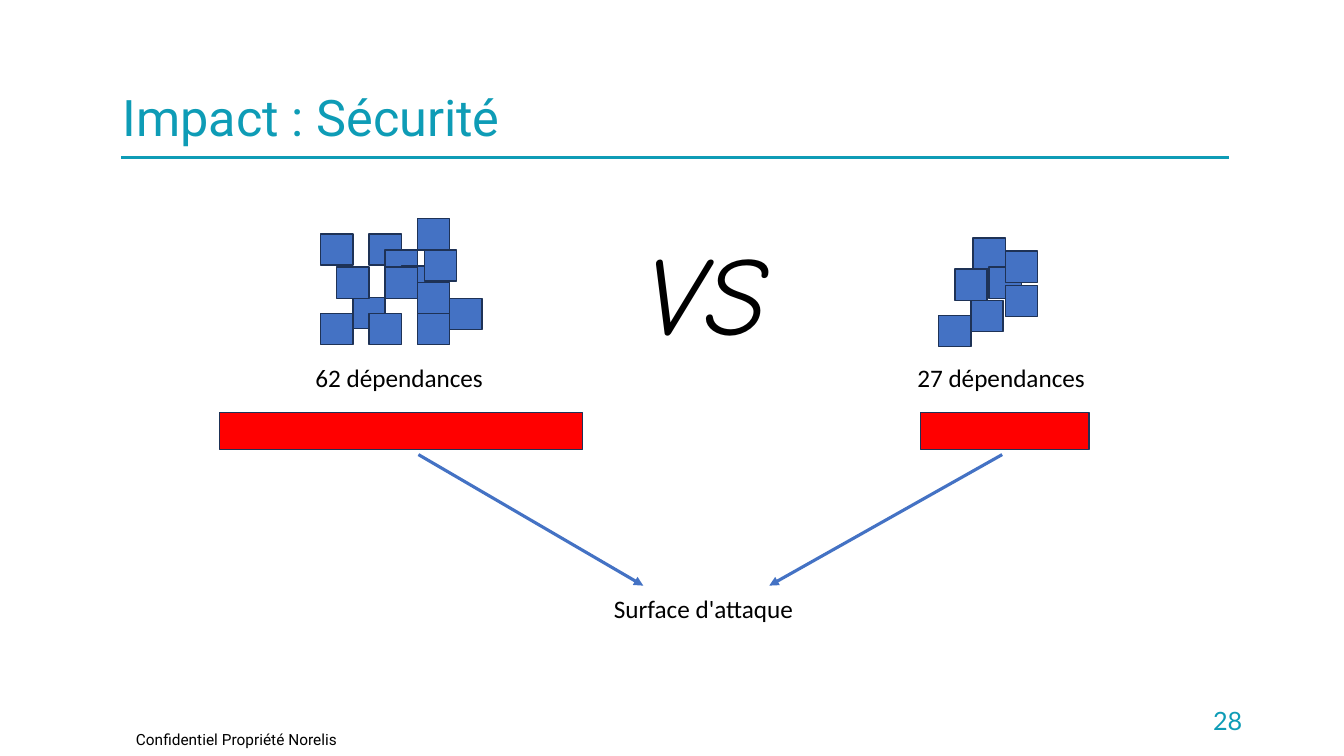
from lxml import etree
from pptx import Presentation
from pptx.dml.color import RGBColor
from pptx.enum import shapes, text
from pptx.oxml import ns
from pptx.util import Inches, Pt

COLORS = {"teal": "0E9CB6", "black": "000000", "blue": "4472C4",
          "navy": "1E3256", "red": "FF0000"}
SQUARE = (0.32, 0.31)

# Offsets of the squares from the corner of their cluster, back to front
MANY_DEPENDENCIES = [
    (0.48, 0.15), (0.64, 0.31), (0.8, 0.47), (0.96, 0.63), (0.96, 0.94),
    (0.32, 0.78), (1.03, 0.31), (0.64, 0.48), (0.96, 0), (0, 0.94),
    (1.28, 0.79), (0.48, 0.94), (0.16, 0.48), (0, 0.15)]
FEW_DEPENDENCIES = [
    (0.34, 0), (0.5, 0.29), (0.16, 0.31), (0.66, 0.47), (0.32, 0.62),
    (0.66, 0.13), (0, 0.77)]


def color(name):
    return RGBColor.from_string(COLORS[name])


def add_label(slide, box, wording, size, font="Calibri", ink="black"):
    """Add a one-line text box and return it."""
    label = slide.shapes.add_textbox(*map(Inches, box))
    label.text_frame.word_wrap = True
    line = label.text_frame.paragraphs[0]
    line.text = wording
    line.font.size = Pt(size)
    line.font.name = font
    line.font.color.rgb = color(ink)
    return label


def add_block(slide, box, fill):
    block = slide.shapes.add_shape(shapes.MSO_SHAPE.RECTANGLE, *map(Inches, box))
    block.shadow.inherit = False
    block.fill.solid()
    block.fill.fore_color.rgb = color(fill)
    block.line.color.rgb = color("navy")
    block.line.width = Pt(1)


def add_rule(slide, start, end, ink, arrow=False):
    rule = slide.shapes.add_connector(
        shapes.MSO_CONNECTOR.STRAIGHT, *map(Inches, start + end))
    rule.line.color.rgb = color(ink)
    rule.line.width = Pt(2.25)
    if arrow:
        etree.SubElement(rule.line._get_or_add_ln(), ns.qn("a:tailEnd"), type="triangle")
    etree.SubElement(rule._element.spPr, ns.qn("a:effectLst"))


def add_header(slide, left, top, width):
    title = add_label(slide, (left, top, width, 0.77), "Impact : Sécurité",
                      36, "Roboto", "teal")
    line = title.text_frame.paragraphs[0]
    line.line_spacing = 0.9
    line.space_before = Pt(10)
    add_rule(slide, (left + 0.08, top + 0.69), (left + width - 0.01, top + 0.69), "teal")


def add_footer(slide, left, top, width):
    add_label(slide, (left, top + 0.24, 2.26, 0.29),
              "Confidentiel Propriété Norelis", 11, "Roboto")
    number = add_label(slide, (left + width - 3, top, 3, 0.4), "28", 18, "Lato", "teal")
    number.text_frame.vertical_anchor = text.MSO_ANCHOR.MIDDLE
    number.text_frame.paragraphs[0].alignment = text.PP_ALIGN.RIGHT


def add_side(slide, left, top, cluster, squares, caption, surface):
    """Add squares, caption and surface bar; left and top are the caption's."""
    x, y = cluster
    for dx, dy in squares:
        add_block(slide, (left + x + dx, top + y + dy, *SQUARE), "blue")
    add_label(slide, (left, top, 1.93, 0.4), caption, 18)
    offset, width = surface
    add_block(slide, (left + offset, top + 0.54, width, 0.37), "red")


def add_comparison(slide, left, top):
    add_side(slide, left, top, (0.15, -1.38), MANY_DEPENDENCIES,
             "62 dépendances", (-0.85, 3.6))
    add_side(slide, left + 5.97, top, (0.31, -1.19), FEW_DEPENDENCIES,
             "27 dépendances", (0.13, 1.67))
    versus = add_label(slide, (left + 3.27, top - 1.38, 1.45, 1.44),
                       "VS", 80, "Comic Neue")
    versus.text_frame.paragraphs[0].font.italic = True


def add_conclusion(slide, left, top):
    add_label(slide, (left, top, 2.07, 0.4), "Surface d'attaque", 18)
    for start, end in ((-1.84, 0.39), (3.95, 1.64)):
        add_rule(slide, (left + start, top - 1.33), (left + end, top - 0.03),
                 "blue", arrow=True)


def main():
    deck = Presentation()
    deck.slide_width, deck.slide_height = Inches(13.33), Inches(7.5)
    slide = deck.slides.add_slide(deck.slide_layouts[6])
    add_footer(slide, 1.25, 6.95, 11.17)
    add_header(slide, 1.12, 0.87, 11.08)
    add_comparison(slide, 3.03, 3.55)
    add_conclusion(slide, 5.99, 5.84)
    deck.save("out.pptx")


if __name__ == "__main__":
    main()
